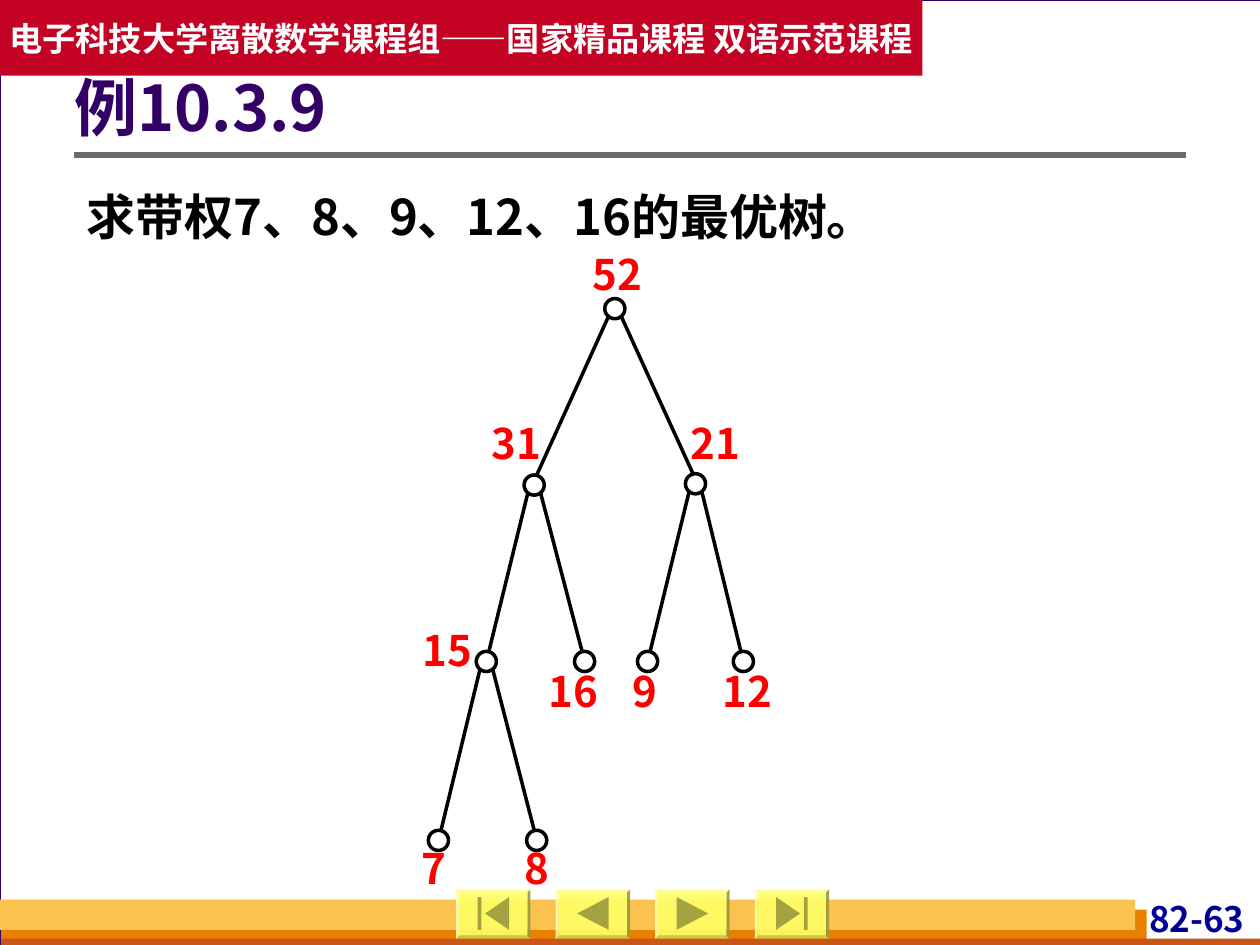
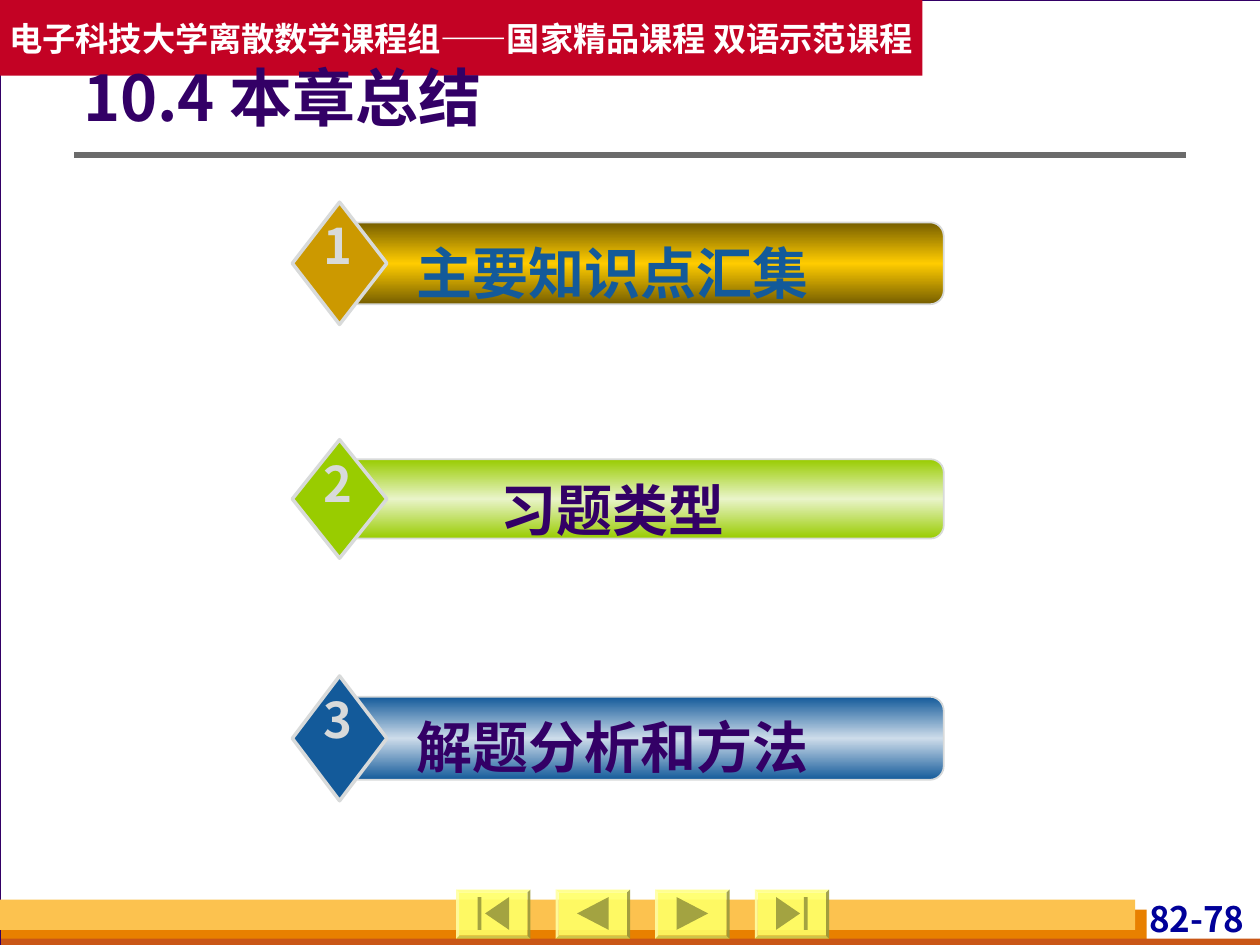
"""Build two lecture slides: an optimal-tree example and a chapter summary."""
from copy import deepcopy

from lxml import etree
from pptx import Presentation
from pptx.dml.color import RGBColor
from pptx.enum.shapes import MSO_CONNECTOR, MSO_SHAPE
from pptx.enum.text import MSO_ANCHOR, MSO_AUTO_SIZE, PP_ALIGN
from pptx.oxml.ns import qn
from pptx.util import Inches, Pt

RECT, OVAL, DIAMOND = MSO_SHAPE.RECTANGLE, MSO_SHAPE.OVAL, MSO_SHAPE.DIAMOND
ROUNDED, BEVEL = MSO_SHAPE.ROUNDED_RECTANGLE, MSO_SHAPE.BEVEL
STRAIGHT = MSO_CONNECTOR.STRAIGHT
LEFT, CENTER, RIGHT, JUSTIFY = PP_ALIGN.LEFT, PP_ALIGN.CENTER, PP_ALIGN.RIGHT, PP_ALIGN.JUSTIFY
TOP, MIDDLE = MSO_ANCHOR.TOP, MSO_ANCHOR.MIDDLE
NO_FIT = MSO_AUTO_SIZE.NONE

FONT = "Noto Sans CJK SC"
WHITE = RGBColor(0xFF, 0xFF, 0xFF)
BLACK = RGBColor(0x00, 0x00, 0x00)
PURPLE = RGBColor(0x33, 0x00, 0x66)
NAVY = RGBColor(0x00, 0x00, 0x99)
RED = RGBColor(0xFF, 0x00, 0x00)
CRIMSON = RGBColor(0xC3, 0x02, 0x24)
SILVER = RGBColor(0xD8, 0xDA, 0xDA)
RULE_GRAY = RGBColor(0x6B, 0x6B, 0x6B)
ORANGE = RGBColor(0xE8, 0x80, 0x00)
RUST = RGBColor(0xC9, 0x56, 0x16)
AMBER = RGBColor(0xFC, 0xC2, 0x4F)
YELLOW = RGBColor(0xFF, 0xFF, 0x66)
OLIVE = RGBColor(0xA3, 0xA3, 0x41)
BROWN = RGBColor(0x76, 0x5E, 0x00)
GOLD = RGBColor(0xFF, 0xCC, 0x00)
DARK_GOLD = RGBColor(0xCC, 0x99, 0x00)
GREEN = RGBColor(0x99, 0xCC, 0x00)
PALE_GREEN = RGBColor(0xE9, 0xF4, 0xC9)
BLUE = RGBColor(0x13, 0x5A, 0x9A)
PALE_BLUE = RGBColor(0xCD, 0xDC, 0xEA)

COURSE = "电子科技大学离散数学课程组——国家精品课程 双语示范课程"
NO_MARGINS = (0, 0, 0, 0)
TEXT_MARGINS = (0.1, 0.05, 0.1, 0.05)
TITLE_MARGINS = (0, 0.05, 0.1, 0.05)

BUTTON_WIDTH, BUTTON_HEIGHT, BUTTON_STEP = 0.59, 0.39, 0.79
FIRST_ICON = [
    [(0.23, 0.19), (0.42, 0.06), (0.42, 0.32)],
    [(0.17, 0.06), (0.2, 0.06), (0.2, 0.32), (0.17, 0.32)],
]
PREVIOUS_ICON = [[(0.17, 0.19), (0.42, 0.06), (0.42, 0.32)]]

NODE_SIZE = 0.16
NODES = {
    "52": (4.88, 2.45, 4.9, 1.97),
    "31": (4.24, 3.85, 4.1, 3.31),
    "21": (5.52, 3.84, 5.68, 3.31),
    "15": (3.86, 5.25, 3.55, 4.96),
    "16": (4.64, 5.25, 4.55, 5.28),
    "9": (5.14, 5.25, 5.12, 5.28),
    "12": (5.9, 5.25, 5.93, 5.28),
    "7": (3.48, 6.67, 3.44, 6.69),
    "8": (4.26, 6.67, 4.26, 6.69),
}
CHILDREN = {"52": ("31", "21"), "31": ("15", "16"), "21": ("9", "12"), "15": ("7", "8")}

TOPICS = [
    ("主要知识点汇集", BLUE, DARK_GOLD, BROWN, GOLD, 2.09, 0.65, 0.97),
    ("习题类型", PURPLE, GREEN, GREEN, PALE_GREEN, 3.96, 0.63, 0.94),
    ("解题分析和方法", PURPLE, BLUE, BLUE, PALE_BLUE, 5.86, 0.66, 0.99),
]


def mirrored(icon):
    """Return the icon outlines flipped left to right within a button."""
    return [[(BUTTON_WIDTH - x, y) for x, y in outline] for outline in icon]


class SlideBuilder:
    """Hold the deck style and the current slide."""

    def __init__(self):
        """Start an empty deck."""
        self.deck = Presentation()
        self.deck.slide_width, self.deck.slide_height = Inches(10), Inches(7.5)
        self.page = self.shapes = None

    def new_page(self, title, title_box, number):
        """Add a slide with its frame, title and page number."""
        self.page = self.deck.slides.add_slide(self.deck.slide_layouts[5])
        self.shapes = self.page.shapes
        self.page.background.fill.solid()
        self.page.background.fill.fore_color.rgb = SILVER
        self.frame(number)
        heading = self.page.shapes.title
        self.place(heading, *title_box)
        self.set_text(heading, title, 36, PURPLE, LEFT, TITLE_MARGINS, MIDDLE, spacing=0.9)
        heading.element.getparent().append(heading.element)

    def frame(self, number):
        """Draw the bands, rule, buttons and number that every slide has."""
        self.shape(RECT, 0, 0, 10.01, 7.5, WHITE, PURPLE, 0.75)
        self.shape(RECT, 0.01, 7.22, 9.09, 0.28, ORANGE)
        self.shape(RECT, 0.01, 7.45, 10, 0.08, RUST)
        self.shape(RECT, 0, 7.14, 9.01, 0.24, AMBER)
        self.text(8.86, 7.12, 1.06, 0.38, number, 20, NAVY, RIGHT, (0.04, 0, 0.04, 0))
        self.line((0.59, 1.23), (9.41, 1.23), RULE_GRAY, 3)
        icons = [FIRST_ICON, PREVIOUS_ICON, mirrored(PREVIOUS_ICON), mirrored(FIRST_ICON)]
        for index, icon in enumerate(icons):
            self.button(3.62 + index * BUTTON_STEP, 7.06, icon)
        band = self.shape(RECT, 0, 0, 7.32, 0.6, CRIMSON)
        self.set_text(band, COURSE, 19, WHITE, CENTER, (0, 0.05, 0, 0.05), MIDDLE, wrap=False)

    def place(self, item, left, top, width, height):
        """Move and size an element."""
        item.left, item.top = Inches(left), Inches(top)
        item.width, item.height = Inches(width), Inches(height)

    def paint(self, item, fill, line=None, weight=1):
        """Give a shape a flat fill and an optional outline."""
        item.shadow.inherit = False
        item.fill.solid()
        item.fill.fore_color.rgb = fill
        if line is None:
            item.line.fill.background()
        else:
            item.line.color.rgb = line
            item.line.width = Pt(weight)

    def shape(self, kind, left, top, width, height, fill, line=None, weight=1):
        """Add a preset shape."""
        item = self.shapes.add_shape(
            kind, Inches(left), Inches(top), Inches(width), Inches(height))
        self.paint(item, fill, line, weight)
        return item

    def line(self, start, end, colour, weight):
        """Add a straight line between two points."""
        points = [Inches(value) for value in (*start, *end)]
        item = self.shapes.add_connector(STRAIGHT, *points)
        item.line.color.rgb = colour
        item.line.width = Pt(weight)
        etree.SubElement(item.element.spPr, qn("a:effectLst"))

    def button(self, left, top, icon):
        """Add a bevelled navigation button with its icon."""
        face = self.shape(BEVEL, left, top, BUTTON_WIDTH, BUTTON_HEIGHT, YELLOW)
        face.adjustments[0] = 0.06
        colour = face.element.spPr.find(qn("a:solidFill"))[0]
        etree.SubElement(colour, qn("a:alpha"), val="90000")
        outlines = [[(Inches(left + x), Inches(top + y)) for x, y in outline]
                    for outline in icon]
        builder = self.shapes.build_freeform(*outlines[0][0])
        builder.add_line_segments(outlines[0][1:])
        for outline in outlines[1:]:
            builder.move_to(*outline[0])
            builder.add_line_segments(outline[1:])
        self.paint(builder.convert_to_shape(), OLIVE)

    def text(self, left, top, width, height, words, size, colour, align=CENTER,
             margins=TEXT_MARGINS, wrap=True, spacing=None):
        """Add a text box."""
        box = self.shapes.add_textbox(
            Inches(left), Inches(top), Inches(width), Inches(height))
        self.set_text(box, words, size, colour, align, margins, TOP, wrap, spacing)

    def set_text(self, item, words, size, colour, align, margins, anchor, wrap=True,
                 spacing=None):
        """Put formatted text into an element."""
        frame = item.text_frame
        frame.text = words
        frame.word_wrap = wrap
        frame.auto_size = NO_FIT
        frame.vertical_anchor = anchor
        (frame.margin_left, frame.margin_top,
         frame.margin_right, frame.margin_bottom) = map(Inches, margins)
        para = frame.paragraphs[0]
        para.alignment = align
        para.space_before = Pt(0)
        if spacing:
            para.line_spacing = spacing
        for span in para.runs:
            span.font.size = Pt(size)
            span.font.bold = True
            span.font.color.rgb = colour
            span.font.name = FONT
        for properties in item.element.iter(qn("a:rPr")):
            etree.SubElement(properties, qn("a:ea"), typeface=FONT)

    def tree(self):
        """Draw the weighted binary tree."""
        radius = NODE_SIZE / 2
        for parent, pair in CHILDREN.items():
            x, y = NODES[parent][:2]
            for child, side in zip(pair, (-1, 1)):
                child_x, child_y = NODES[child][:2]
                self.line((x + side * 0.05, y + 0.06),
                          (child_x - side * 0.02, child_y - radius), BLACK, 2)
        for weight, (x, y, label_x, label_top) in NODES.items():
            self.shape(OVAL, x - radius, y - radius, NODE_SIZE, NODE_SIZE, WHITE, BLACK, 2)
            self.text(label_x - 0.32, label_top, 0.64, 0.4, weight, 24, RED,
                      margins=NO_MARGINS)

    def topic(self, number, words, ink, badge, edge, glow, middle, bar_height, badge_height):
        """Add a numbered topic bar as one group."""
        self.shapes = self.page.shapes.add_group_shape().shapes
        bar_top = middle - bar_height / 2
        badge_top = middle - badge_height / 2
        bar = self.shape(ROUNDED, 2.74, bar_top, 4.75, bar_height, edge, SILVER)
        self.glow(bar, edge, glow)
        self.shape(DIAMOND, 2.32, badge_top, 0.75, badge_height, badge, SILVER, 2)
        self.text(2.99, bar_top + 0.08, 3.75, 0.64, words, 32, ink)
        self.text(2.47, badge_top + 0.06, 0.42, 0.57, str(number), 28, SILVER, wrap=False)
        self.shapes = self.page.shapes

    def glow(self, bar, edge, middle):
        """Fill a bar with a vertical gradient that is symmetric about its middle."""
        bar.fill.gradient()
        bar.fill.gradient_angle = 90
        first, second = bar.fill.gradient_stops
        first.color.rgb, first.position = edge, 0
        second.color.rgb, second.position = middle, 0.5
        stops = bar.element.spPr.find(qn("a:gradFill")).find(qn("a:gsLst"))
        last = deepcopy(stops[0])
        last.set("pos", "100000")
        stops.append(last)


def main():
    """Build and save the deck."""
    slides = SlideBuilder()
    slides.new_page("例10.3.9", (0.59, 0.38, 8.82, 1.01), "82-63")
    slides.text(0.59, 1.34, 8.82, 0.66, "求带权7、8、9、12、16的最优树。", 28, BLACK,
                JUSTIFY, spacing=1.2)
    slides.tree()
    slides.new_page("10.4 本章总结", (0.66, 0.42, 8.68, 0.77), "82-78")
    for number, topic in enumerate(TOPICS, 1):
        slides.topic(number, *topic)
    slides.deck.save("out.pptx")


if __name__ == "__main__":
    main()
